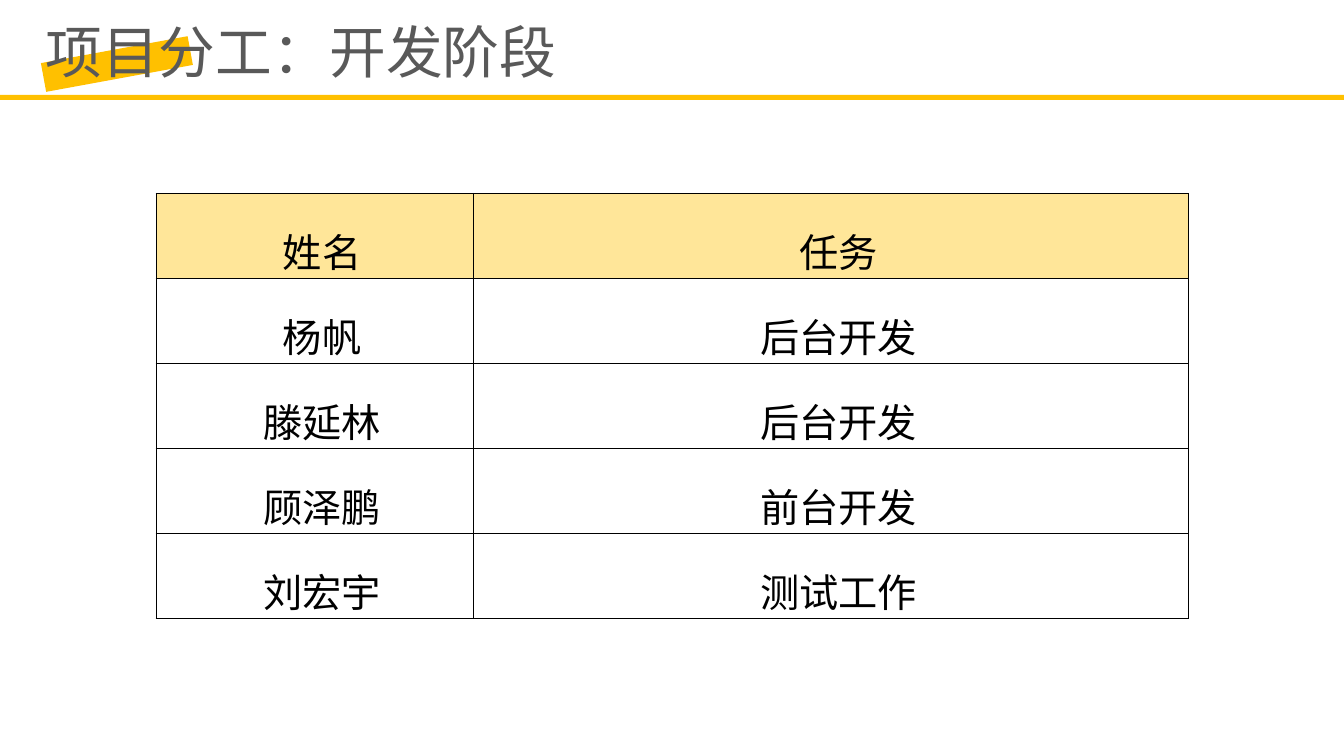
"""Build the development-stage division of work slide."""
from dataclasses import dataclass

from pptx import Presentation
from pptx.dml.color import RGBColor
from pptx.enum.shapes import MSO_SHAPE
from pptx.enum.text import MSO_ANCHOR, MSO_AUTO_SIZE, PP_ALIGN
from pptx.oxml.ns import qn
from pptx.slide import Slide
from pptx.table import _Cell
from pptx.text.text import _Run
from pptx.util import Inches, Pt
from lxml import etree


@dataclass(frozen=True)
class Theme:
    font: str = "Noto Sans CJK SC"
    accent: str = "FFC000"
    header: str = "FFE699"
    title: str = "595959"
    ink: str = "000000"
    title_size: float = 40.5
    cell_size: float = 28
    border: float = 1


@dataclass(frozen=True)
class Box:
    left: float
    top: float
    width: float
    height: float

    def emu(self) -> tuple[int, ...]:
        return tuple(Inches(v) for v in (self.left, self.top, self.width, self.height))


@dataclass(frozen=True)
class Bar:
    box: Box
    rotation: float = 0


@dataclass(frozen=True)
class Assignment:
    name: str
    task: str


THEME = Theme()
WIDTH, HEIGHT = 13.33, 7.5
TITLE_BOX = Box(0.35, 0.12, 5.67, 0.78)
BRUSH = Bar(Box(0.42, 0.49, 1.48, 0.29), 349.6)
RULE = Bar(Box(0, 0.94, WIDTH, 0.05))
TABLE_LEFT, TABLE_TOP, ROW_HEIGHT = 1.55, 1.92, 0.79
COLUMN_WIDTHS = (3.15, 7.09)
ROWS = (
    Assignment("姓名", "任务"),
    Assignment("杨帆", "后台开发"),
    Assignment("滕延林", "后台开发"),
    Assignment("顾泽鹏", "前台开发"),
    Assignment("刘宏宇", "测试工作"),
)


def style_run(run: _Run, size: float, color: str) -> None:
    run.font.size = Pt(size)
    run.font.name = THEME.font
    run.font.color.rgb = RGBColor.from_string(color)
    east_asian = etree.SubElement(run.font._element, qn("a:ea"))
    east_asian.set("typeface", THEME.font)


def add_bar(slide: Slide, bar: Bar) -> None:
    shape = slide.shapes.add_shape(MSO_SHAPE.RECTANGLE, *bar.box.emu())
    shape.rotation = bar.rotation
    shape.shadow.inherit = False
    shape.fill.solid()
    shape.fill.fore_color.rgb = RGBColor.from_string(THEME.accent)
    shape.line.fill.background()


def place_title(slide: Slide, text: str) -> None:
    title = slide.shapes.title
    title.left, title.top, title.width, title.height = TITLE_BOX.emu()
    frame = title.text_frame
    frame.text = text
    frame.word_wrap = True
    frame.auto_size = MSO_AUTO_SIZE.NONE
    frame.vertical_anchor = MSO_ANCHOR.TOP
    paragraph = frame.paragraphs[0]
    paragraph.alignment = PP_ALIGN.LEFT
    style_run(paragraph.runs[0], THEME.title_size, THEME.title)
    slide.shapes._spTree.append(title._element)


def add_borders(cell: _Cell) -> None:
    properties = cell._tc.get_or_add_tcPr()
    for side in ("lnL", "lnR", "lnT", "lnB"):
        line = etree.SubElement(properties, qn(f"a:{side}"), w=str(Pt(THEME.border)))
        fill = etree.SubElement(line, qn("a:solidFill"))
        etree.SubElement(fill, qn("a:srgbClr"), val=THEME.ink)


def fill_cell(cell: _Cell, text: str, is_header: bool) -> None:
    cell.margin_left = cell.margin_right = Inches(0.07)
    cell.margin_top = cell.margin_bottom = 0
    add_borders(cell)
    if is_header:
        cell.fill.solid()
        cell.fill.fore_color.rgb = RGBColor.from_string(THEME.header)
    else:
        cell.fill.background()
    cell.text = text
    paragraph = cell.text_frame.paragraphs[0]
    paragraph.alignment = PP_ALIGN.CENTER
    paragraph.line_spacing = 1.5
    paragraph._p.get_or_add_pPr().set("indent", str(Inches(0.14)))
    style_run(paragraph.runs[0], THEME.cell_size, THEME.ink)


def add_assignments(slide: Slide) -> None:
    box = Box(TABLE_LEFT, TABLE_TOP, sum(COLUMN_WIDTHS), ROW_HEIGHT * len(ROWS))
    table = slide.shapes.add_table(len(ROWS), len(COLUMN_WIDTHS), *box.emu()).table
    table.first_row = table.horz_banding = False
    for column, width in zip(table.columns, COLUMN_WIDTHS):
        column.width = Inches(width)
    for index, (row, assignment) in enumerate(zip(table.rows, ROWS)):
        row.height = Inches(ROW_HEIGHT)
        for cell, text in zip(row.cells, (assignment.name, assignment.task)):
            fill_cell(cell, text, index == 0)


def main() -> None:
    presentation = Presentation()
    presentation.slide_width, presentation.slide_height = Inches(WIDTH), Inches(HEIGHT)
    slide = presentation.slides.add_slide(presentation.slide_layouts.get_by_name("Title Only"))
    add_assignments(slide)
    add_bar(slide, BRUSH)
    place_title(slide, "项目分工：开发阶段")
    add_bar(slide, RULE)
    presentation.save("out.pptx")


main()
